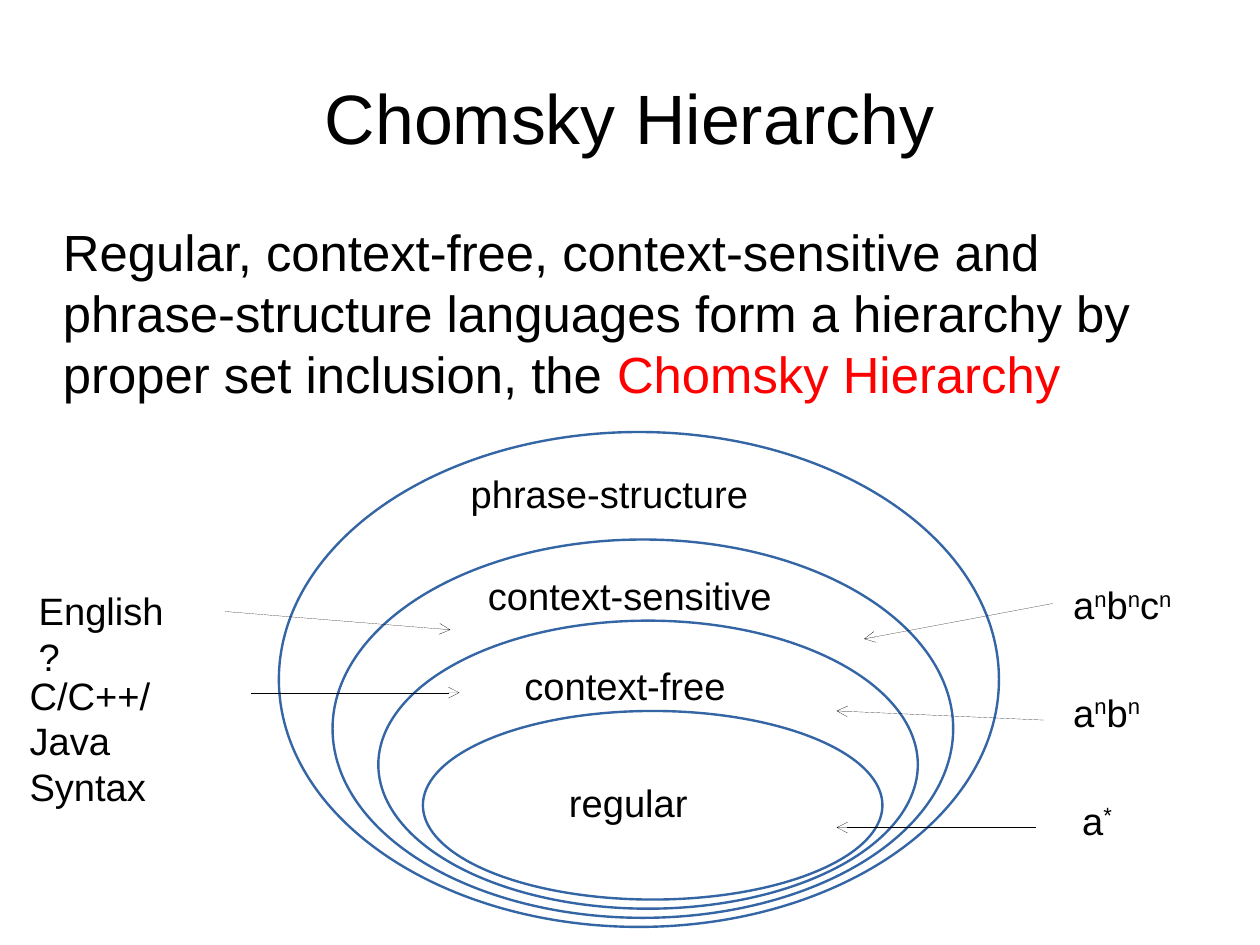
from lxml import etree
from pptx import Presentation
from pptx import util as u
from pptx.dml.color import RGBColor
from pptx.enum import shapes, text
from pptx.oxml import ns

COLORS = {"ink": "000000", "accent": "FF0000", "outline": "3465A4"}
SUPERSCRIPT = "33000"
CM_PER_INCH = 2.54

CLASSES = [
    ("phrase-structure", (2.44, 3.78, 6.3, 4.33), (4.02, 4.07, 2.83, 0.89)),
    ("context-sensitive", (2.91, 4.72, 5.43, 3.31), (4.17, 4.96, 3.07, 0.61)),
    ("context-free", (3.31, 5.43, 4.72, 2.52), (4.49, 5.75, 2.2, 0.47)),
    ("regular", (3.7, 6.22, 4.02, 1.65), (4.88, 6.77, 1.5, 0.89)),
]

EXAMPLES = [
    ([["English?"]], (0.24, 5.09, 1.38, 0.49), (1.97, 5.35, 3.94, 5.51)),
    ([["C/C++/Java"], ["Syntax"]], (0.16, 5.83, 1.81, 0.87), (2.2, 6.06, 4.02, 6.06)),
    ([["a", "^n", "b", "^n", "c", "^n"]], (9.29, 5.04, 1.18, 0.47), (9.21, 5.28, 7.56, 5.59)),
    ([["a", "^n", "b", "^n"]], (9.29, 5.98, 1.18, 0.47), (9.13, 6.3, 7.32, 6.22)),
    ([["a", "^*"]], (9.37, 6.93, 1.18, 0.47), (9.06, 7.24, 7.32, 7.24)),
]


def rgb(name):
    return RGBColor.from_string(COLORS[name])


def inches(values):
    return [u.Inches(value) for value in values]


def write(frame, paragraphs, size=24, align=text.PP_ALIGN.LEFT,
          anchor=text.MSO_ANCHOR.TOP, margins=(0.1, 0.05), accent=None, before=0):
    frame.word_wrap = True
    frame.auto_size = text.MSO_AUTO_SIZE.NONE
    frame.vertical_anchor = anchor
    frame.margin_left = frame.margin_right = u.Inches(margins[0])
    frame.margin_top = frame.margin_bottom = u.Inches(margins[1])
    for index, pieces in enumerate(paragraphs):
        paragraph = frame.add_paragraph() if index else frame.paragraphs[0]
        paragraph.alignment = align
        paragraph.space_before = u.Pt(before)
        for piece in pieces:
            run = paragraph.add_run()
            run.text = piece.removeprefix("^")
            run.font.name = "Arial"
            run.font.size = u.Pt(size)
            run.font.color.rgb = rgb("accent" if piece == accent else "ink")
            if piece.startswith("^"):
                run.font._element.set("baseline", SUPERSCRIPT)


def add_label(slide, box, paragraphs, **style):
    label = slide.shapes.add_textbox(*inches(box))
    write(label.text_frame, paragraphs, **style)


def add_heading(slide, box):
    heading = slide.shapes.title
    heading.left, heading.top, heading.width, heading.height = inches(box)
    write(heading.text_frame, [["Chomsky Hierarchy"]], size=44,
          align=text.PP_ALIGN.CENTER, anchor=text.MSO_ANCHOR.MIDDLE, margins=(0, 0))


def add_statement(slide, box):
    term = "Chomsky Hierarchy"
    statement = ("Regular, context-free, context-sensitive and phrase-structure "
                 "languages form a hierarchy by proper set inclusion, the ")
    add_label(slide, box, [[statement, term]], size=32, margins=(0, 0),
              accent=term, before=14.2)


def add_language_class(slide, box):
    ellipse = slide.shapes.add_shape(shapes.MSO_SHAPE.OVAL, *inches(box))
    ellipse.shadow.inherit = False
    ellipse.fill.background()
    ellipse.line.color.rgb = rgb("outline")
    ellipse.line.width = u.Pt(1.5)


def add_pointer(slide, ends):
    pointer = slide.shapes.add_connector(shapes.MSO_CONNECTOR.STRAIGHT, *inches(ends))
    pointer.line.color.rgb = rgb("ink")
    properties = pointer._element.spPr
    hairline = properties.find(ns.qn("a:ln"))
    hairline.set("w", "0")
    etree.SubElement(hairline, ns.qn("a:tailEnd"), type="arrow")
    etree.SubElement(properties, ns.qn("a:effectLst"))


def add_hierarchy(slide):
    for _, outline, _ in CLASSES:
        add_language_class(slide, outline)
    for name, _, box in CLASSES:
        add_label(slide, box, [[name]])


def add_examples(slide):
    for language, box, ends in EXAMPLES:
        add_label(slide, box, language)
        add_pointer(slide, ends)


def main():
    deck = Presentation()
    deck.slide_width = u.Inches(28 / CM_PER_INCH)
    deck.slide_height = u.Inches(21 / CM_PER_INCH)
    slide = deck.slides.add_slide(deck.slide_layouts[5])
    add_heading(slide, (0.55, 0.33, 9.92, 1.38))
    add_statement(slide, (0.55, 1.93, 9.92, 4.79))
    add_hierarchy(slide)
    add_examples(slide)
    deck.save("out.pptx")


if __name__ == "__main__":
    main()
